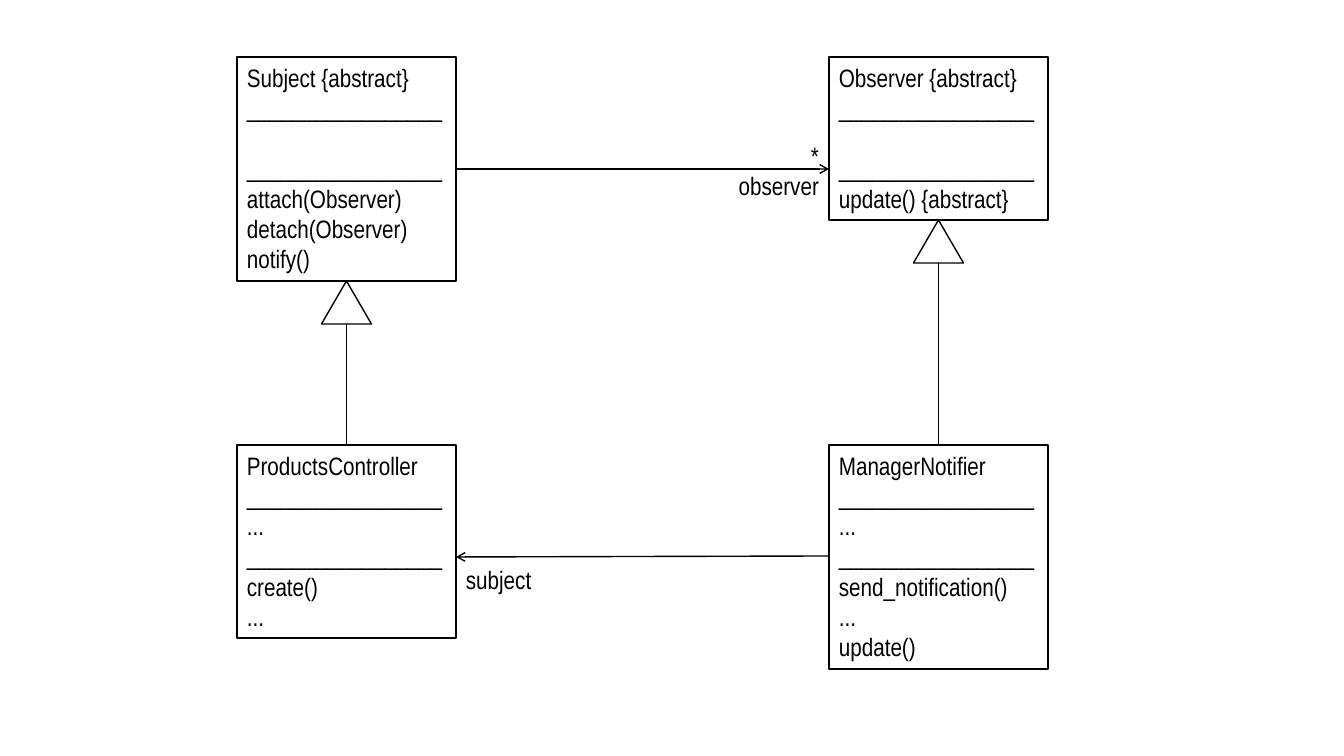
from lxml.etree import SubElement
from pptx import Presentation
from pptx.dml.color import RGBColor
from pptx.enum.shapes import MSO_CONNECTOR, MSO_SHAPE
from pptx.enum.text import MSO_ANCHOR, MSO_AUTO_SIZE, PP_ALIGN
from pptx.oxml.ns import qn
from pptx.util import Pt

SCALE = 914400 / 100.8
BLACK = "000000"
FONT, SIZE, LINE_PITCH = "Arial Narrow", 18, 21.6
RULE = "_" * 17
LEFT, RIGHT, TOP, BOTTOM = 237, 829, 57, 445
BOX_W, TRI_W, TRI_H = 219, 50, 43

CLASSES = [
    (RIGHT, BOTTOM, 224, "ManagerNotifier", ["..."], ["send_notification()", "...", "update()"]),
    (LEFT, BOTTOM, 193, "ProductsController", ["..."], ["create()", "..."]),
    (LEFT, TOP, 224, "Subject {abstract}", [], ["attach(Observer)", "detach(Observer)", "notify()"]),
    (RIGHT, TOP, 163, "Observer {abstract}", [], ["update() {abstract}"]),
]
INHERITANCE = [(LEFT, 281), (RIGHT, 220)]
ASSOCIATIONS = [(LEFT + BOX_W, 169, RIGHT, 169), (RIGHT, 556, LEFT + BOX_W, 557)]
LABELS = [
    (727, 135, 102, 71, ["*", "observer"], PP_ALIGN.RIGHT),
    (LEFT + BOX_W, 559, 86, 40, ["subject"], PP_ALIGN.LEFT),
]


def px(*values):
    return [round(v * SCALE) for v in values]


def color(hex_text):
    return RGBColor.from_string(hex_text)


def outline(s):
    s.line.color.rgb = color(BLACK)
    s.line.width = Pt(1)


def write(s, lines, align=PP_ALIGN.LEFT, wrap=True):
    tf = s.text_frame
    tf.text = "\n".join(lines)
    tf.word_wrap = wrap
    tf.auto_size = MSO_AUTO_SIZE.SHAPE_TO_FIT_TEXT
    tf.vertical_anchor = MSO_ANCHOR.TOP
    for p in tf.paragraphs:
        p.alignment = align
        for r in p.runs:
            r.font.name, r.font.size = FONT, Pt(SIZE)
            r.font.color.rgb = color(BLACK)
    return tf.paragraphs


def add_outlined(kind, x, y, w, h):
    s = shapes.add_shape(kind, *px(x, y, w, h))
    s.shadow.inherit = False
    s.fill.background()
    outline(s)
    return s


def add_class(x, y, h, name, attributes, methods):
    s = add_outlined(MSO_SHAPE.RECTANGLE, x, y, BOX_W, h)
    paragraphs = write(s, [name, RULE, *attributes, RULE, *methods])
    if not attributes:
        paragraphs[2].space_before = Pt(LINE_PITCH)


def add_line(x1, y1, x2, y2, arrow=False):
    s = shapes.add_connector(MSO_CONNECTOR.STRAIGHT, *px(x1, y1, x2, y2))
    outline(s)
    if arrow:
        SubElement(s.line._get_or_add_ln(), qn("a:tailEnd"), type="arrow")
    SubElement(s._element.spPr, qn("a:effectLst"))


def main():
    """Draw the observer pattern as a class diagram."""
    for item in CLASSES:
        add_class(*item)
    for x, y in INHERITANCE:
        center = x + BOX_W / 2
        add_outlined(MSO_SHAPE.ISOSCELES_TRIANGLE, center - TRI_W / 2, y, TRI_W, TRI_H)
        add_line(center, y + TRI_H, center, BOTTOM)
    for ends in ASSOCIATIONS:
        add_line(*ends, arrow=True)
    for x, y, w, h, lines, align in LABELS:
        write(shapes.add_textbox(*px(x, y, w, h)), lines, align, wrap=False)


prs = Presentation()
prs.slide_width, prs.slide_height = px(1344, 756)
shapes = prs.slides.add_slide(prs.slide_layouts[6]).shapes
main()
prs.save("out.pptx")
